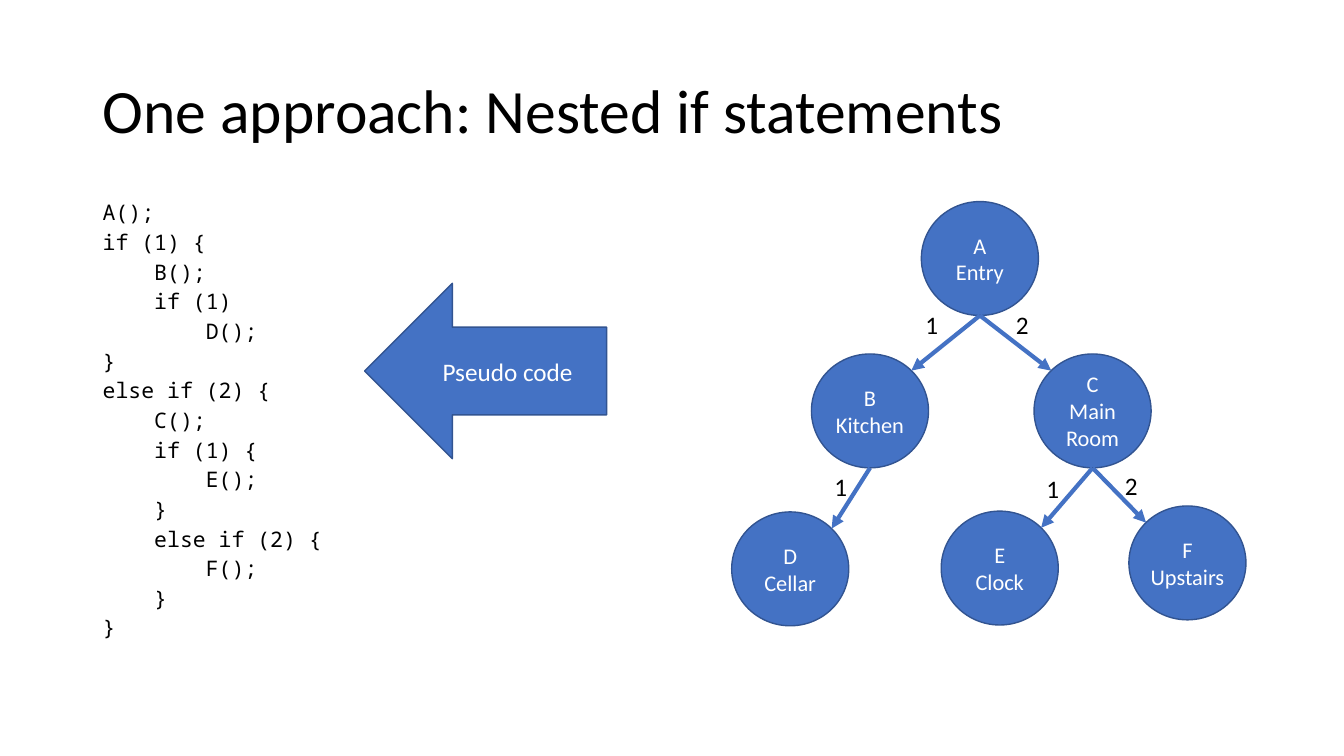
from dataclasses import dataclass
from math import sqrt

from lxml.etree import SubElement
from pptx import Presentation
from pptx.dml.color import RGBColor
from pptx.enum.shapes import MSO_CONNECTOR, MSO_SHAPE
from pptx.enum.text import MSO_ANCHOR, PP_ALIGN
from pptx.oxml.ns import qn
from pptx.util import Cm, Pt

# Content: places and sizes in centimetres
TITLE = "One approach: Nested if statements"
TITLE_BOX = (2.34, 1.02, 29.21, 3.68)

PSEUDO_CODE = """A();
if (1) {
    B();
    if (1)
        D();
}
else if (2) {
    C();
    if (1) {
        E();
    }
    else if (2) {
        F();
    }
}"""
CODE_BOX = (2.34, 5.08, 14.4, 12.09)

ARROW_TEXT = "Pseudo code"
ARROW_BOX = (9.19, 7.14, 6.1, 4.42)

ROOM_SIZE = (2.95, 2.87)
ROOMS = {  # letter: (name, left, top)
    "A": ("Entry", 23.22, 5.08),
    "B": ("Kitchen", 20.45, 8.92),
    "C": ("Main\nRoom", 26.06, 8.92),
    "F": ("Upstairs", 28.45, 12.75),
    "E": ("Clock", 23.72, 12.88),
    "D": ("Cellar", 18.44, 12.9),
}
CHOICES = [  # from, to, choice, left and top of its label
    ("A", "B", "1", 23.32, 7.67),
    ("A", "C", "2", 25.6, 7.67),
    ("C", "E", "1", 26.37, 11.81),
    ("C", "F", "2", 28.35, 11.73),
    ("B", "D", "1", 21.03, 11.76),
]
LABEL_SIZE = (0.36, 1.02)


@dataclass(frozen=True)
class Theme:
    black: RGBColor = RGBColor(0x00, 0x00, 0x00)
    white: RGBColor = RGBColor(0xFF, 0xFF, 0xFF)
    blue: RGBColor = RGBColor(0x44, 0x72, 0xC4)
    outline: RGBColor = RGBColor(0x32, 0x54, 0x91)
    body_font: str = "Calibri"
    code_font: str = "Noto Sans Mono"
    title_size: float = 44
    code_size: float = 15.3
    room_size: float = 16
    label_size: float = 18


THEME = Theme()


def write(part, text, size, color, font=THEME.body_font, align=PP_ALIGN.LEFT,
          anchor=MSO_ANCHOR.TOP, side_inset=0.25, spacing=1.0, before=0):
    frame = part.text_frame
    frame.text = text
    frame.word_wrap = True
    frame.vertical_anchor = anchor
    frame.margin_left = frame.margin_right = Cm(side_inset)
    for line in frame.paragraphs:
        line.alignment = align
        line.line_spacing = spacing
        line.space_before = Pt(before)
        for run in line.runs:
            run.font.name = font
            run.font.size = Pt(size)
            run.font.color.rgb = color


def add_text(slide, box, text, size, **style):
    part = slide.shapes.add_textbox(*map(Cm, box))
    write(part, text, size, THEME.black, **style)


def add_blue_shape(slide, kind, box, text, size, side_inset=0.25):
    part = slide.shapes.add_shape(kind, *map(Cm, box))
    part.shadow.inherit = False
    part.fill.solid()
    part.fill.fore_color.rgb = THEME.blue
    part.line.color.rgb = THEME.outline
    part.line.width = Pt(1)
    write(part, text, size, THEME.white, align=PP_ALIGN.CENTER,
          anchor=MSO_ANCHOR.MIDDLE, side_inset=side_inset)


def add_path(slide, parent, child):
    """Arrow from the parent's bottom to the child's near upper diagonal."""
    width, height = ROOM_SIZE
    _, parent_left, parent_top = ROOMS[parent]
    _, child_left, child_top = ROOMS[child]
    side = 1 if child_left < parent_left else -1
    end_x = child_left + width / 2 * (1 + side / sqrt(2))
    end_y = child_top + height / 2 * (1 - 1 / sqrt(2))
    path_line = slide.shapes.add_connector(
        MSO_CONNECTOR.STRAIGHT, Cm(parent_left + width / 2),
        Cm(parent_top + height), Cm(end_x), Cm(end_y))
    path_line.line.color.rgb = THEME.blue
    path_line.line.width = Pt(3)
    SubElement(path_line.line._get_or_add_ln(), qn("a:tailEnd"), type="triangle")
    SubElement(path_line._element.spPr, qn("a:effectLst"))


def main():
    deck = Presentation()
    deck.slide_width, deck.slide_height = Cm(33.87), Cm(19.05)
    slide = deck.slides.add_slide(deck.slide_layouts[6])

    # Title and code
    add_text(slide, TITLE_BOX, TITLE, THEME.title_size,
             anchor=MSO_ANCHOR.MIDDLE, spacing=0.9)
    add_text(slide, CODE_BOX, PSEUDO_CODE, THEME.code_size,
             font=THEME.code_font, spacing=0.7, before=8.3)

    # Tree of rooms
    for letter, (name, left, top) in ROOMS.items():
        add_blue_shape(slide, MSO_SHAPE.OVAL, (left, top, *ROOM_SIZE),
                       f"{letter}\n{name}", THEME.room_size, side_inset=0)

    # Paths and their choices
    for parent, child, choice, left, top in CHOICES:
        add_path(slide, parent, child)
        add_text(slide, (left, top, *LABEL_SIZE), choice, THEME.label_size,
                 side_inset=0)

    # Arrow from tree to code
    add_blue_shape(slide, MSO_SHAPE.LEFT_ARROW, ARROW_BOX, ARROW_TEXT,
                   THEME.label_size)

    deck.save("out.pptx")


if __name__ == "__main__":
    main()
